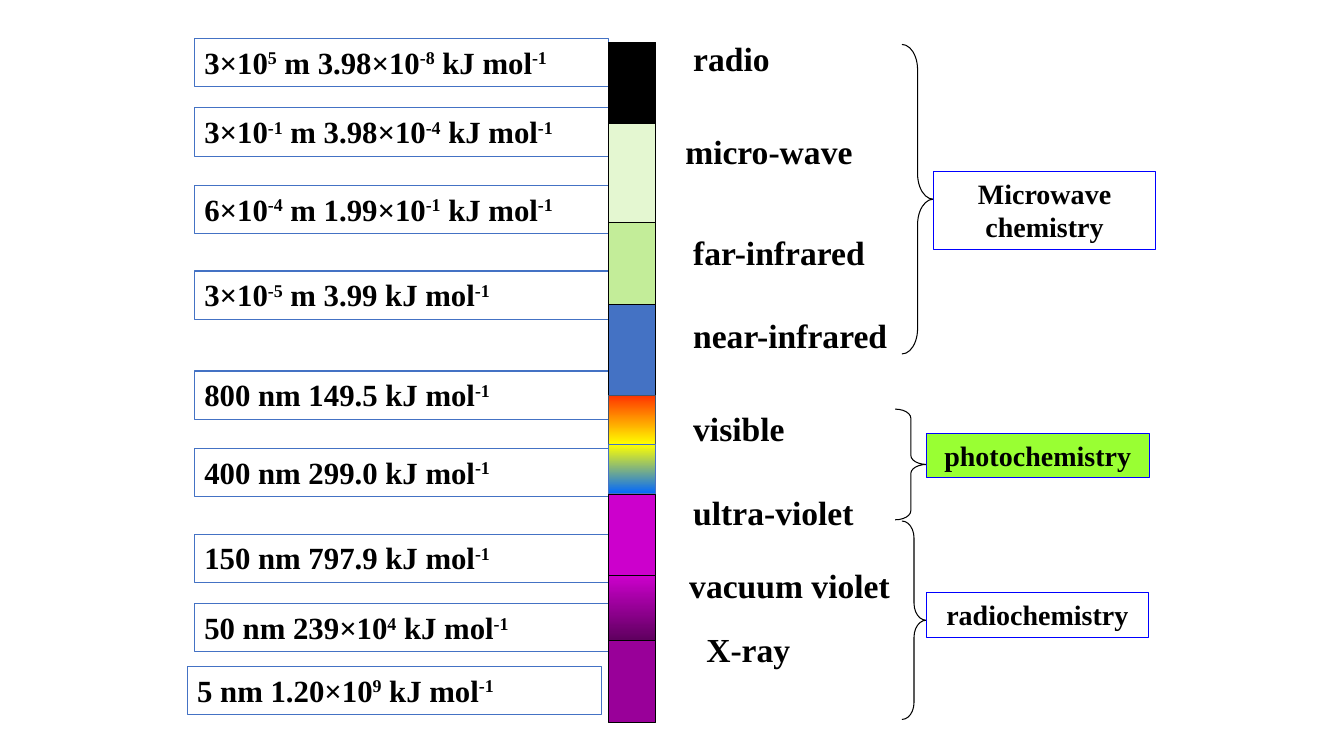
from itertools import pairwise

from pptx import Presentation
from pptx.dml.color import RGBColor
from pptx.enum.shapes import MSO_SHAPE
from pptx.enum.text import MSO_ANCHOR, PP_ALIGN
from pptx.util import Cm, Pt

RECTANGLE, RIGHT_BRACE = MSO_SHAPE.RECTANGLE, MSO_SHAPE.RIGHT_BRACE
LEFT, CENTER = PP_ALIGN.LEFT, PP_ALIGN.CENTER
TOP = MSO_ANCHOR.TOP

BLACK = RGBColor(0x00, 0x00, 0x00)
PALE_GREEN = RGBColor(0xE4, 0xF7, 0xD1)
SOFT_GREEN = RGBColor(0xC3, 0xED, 0x99)
BRIGHT_GREEN = RGBColor(0x99, 0xFF, 0x33)
BLUE = RGBColor(0x44, 0x72, 0xC4)
SLATE = RGBColor(0x44, 0x54, 0x6A)
PURE_BLUE = RGBColor(0x00, 0x00, 0xFF)
SKY_BLUE = RGBColor(0x00, 0x66, 0xFF)
RED = RGBColor(0xFF, 0x33, 0x00)
YELLOW = RGBColor(0xFF, 0xFF, 0x00)
MAGENTA = RGBColor(0xCC, 0x00, 0xCC)
DARK_PURPLE = RGBColor(0x5E, 0x00, 0x5E)
PURPLE = RGBColor(0x99, 0x00, 0x99)

# left, top, text; raised characters stand between carets
LEVELS = [
    (4.9, 0.97, "3×10^5^ m 3.98×10^-8^ kJ mol^-1^"),
    (4.9, 2.72, "3×10^-1^ m 3.98×10^-4^ kJ mol^-1^"),
    (4.9, 4.67, "6×10^-4^ m 1.99×10^-1^ kJ mol^-1^"),
    (4.9, 6.83, "3×10^-5^ m 3.99 kJ mol^-1^"),
    (4.9, 9.35, "800 nm 149.5 kJ mol^-1^"),
    (4.9, 11.3, "400 nm 299.0 kJ mol^-1^"),
    (4.9, 13.46, "150 nm 797.9 kJ mol^-1^"),
    (4.9, 15.21, "50 nm 239×10^4^ kJ mol^-1^"),
    (4.72, 16.79, "5 nm 1.20×10^9^ kJ mol^-1^"),
]
# left, top, width, text
BANDS = [
    (17.22, 0.84, 2.97, "radio"),
    (17.02, 3.18, 6.35, "micro-wave"),
    (17.22, 5.72, 7.19, "far-infrared"),
    (17.22, 7.82, 7.19, "near-infrared"),
    (17.22, 10.16, 7.19, "visible"),
    (17.22, 12.27, 7.19, "ultra-violet"),
    (17.12, 14.12, 7.19, "vacuum violet"),
    (17.55, 15.72, 7.19, "X-ray"),
]
BAR_EDGES = [1.07, 3.12, 5.61, 7.67, 9.96, 11.2, 12.45, 14.5, 16.15, 18.21]
# fill colours from top to bottom, line colour
BAR_COLORS = [
    ([BLACK], BLACK),
    ([PALE_GREEN], BLACK),
    ([SOFT_GREEN], BLACK),
    ([BLUE], BLACK),
    ([RED, YELLOW], SLATE),
    ([YELLOW, SKY_BLUE], BLUE),
    ([MAGENTA], BLACK),
    ([MAGENTA, DARK_PURPLE], BLACK),
    ([PURPLE], BLACK),
]
# brace box, brace curve, field top, field height, text, fill colours
FIELDS = [
    ((22.73, 1.12, 0.79, 7.8), 0.81, 4.32, 1.98, "Microwave chemistry", []),
    ((22.56, 10.31, 0.79, 2.79), 0.29, 10.92, 1.12, "photochemistry", [BRIGHT_GREEN]),
    ((22.73, 13.13, 0.61, 5.0), 0.7, 14.94, 1.12, "radiochemistry", []),
]


def add_outline(slide, kind, box, line_color, fill_colors=()):
    """Draw a preset shape with no fill, a solid fill or a top-down gradient."""
    shape = slide.shapes.add_shape(kind, *map(Cm, box))
    shape.shadow.inherit = False
    shape.line.color.rgb = line_color
    shape.line.width = Pt(0.75)
    if not fill_colors:
        shape.fill.background()
    elif len(fill_colors) == 1:
        shape.fill.solid()
        shape.fill.fore_color.rgb = fill_colors[0]
    else:
        shape.fill.gradient()
        shape.fill.gradient_angle = 270
        for stop, color in zip(shape.fill.gradient_stops, fill_colors):
            stop.color.rgb = color
    return shape


def write_text(shape, text, size, alignment=LEFT):
    """Write one bold paragraph, raising the parts between carets."""
    frame = shape.text_frame
    frame.word_wrap = True
    frame.vertical_anchor = TOP
    paragraph = frame.paragraphs[0]
    paragraph.alignment = alignment
    font_format = {"name": "Times New Roman", "size": Pt(size), "bold": True}
    for index, part in enumerate(text.split("^")):
        if not part:
            continue
        run = paragraph.add_run()
        run.text = part
        for name, value in font_format.items():
            setattr(run.font, name, value)
        run.font.color.rgb = BLACK
        if index % 2:
            run._r.get_or_add_rPr().set("baseline", "30000")


def add_energy_levels(slide, width, height):
    for left, top, text in LEVELS:
        shape = add_outline(slide, RECTANGLE, (left, top, width, height), BLUE)
        write_text(shape, text, 22)


def add_spectrum_bar(slide, left, width):
    for (top, bottom), (fills, line) in zip(pairwise(BAR_EDGES), BAR_COLORS):
        add_outline(slide, RECTANGLE, (left, top, width, bottom - top), line, fills)


def add_band_names(slide, height):
    for left, top, width, text in BANDS:
        label = slide.shapes.add_textbox(Cm(left), Cm(top), Cm(width), Cm(height))
        write_text(label, text, 24)


def add_chemistry_fields(slide, width):
    for brace_box, curve, top, height, text, fills in FIELDS:
        brace = add_outline(slide, RIGHT_BRACE, brace_box, BLACK)
        brace.adjustments[0] = curve
        left = brace_box[0] + brace_box[2]
        field = add_outline(slide, RECTANGLE, (left, top, width, height), PURE_BLUE, fills)
        write_text(field, text, 20, CENTER)


def main():
    presentation = Presentation()
    presentation.slide_width = Cm(33.87)
    presentation.slide_height = Cm(19.05)
    slide = presentation.slides.add_slide(presentation.slide_layouts.get_by_name("Blank"))
    add_band_names(slide, height=1.27)
    add_energy_levels(slide, width=10.44, height=1.22)
    add_spectrum_bar(slide, left=15.34, width=1.19)
    add_chemistry_fields(slide, width=5.61)
    presentation.save("out.pptx")


if __name__ == "__main__":
    main()
